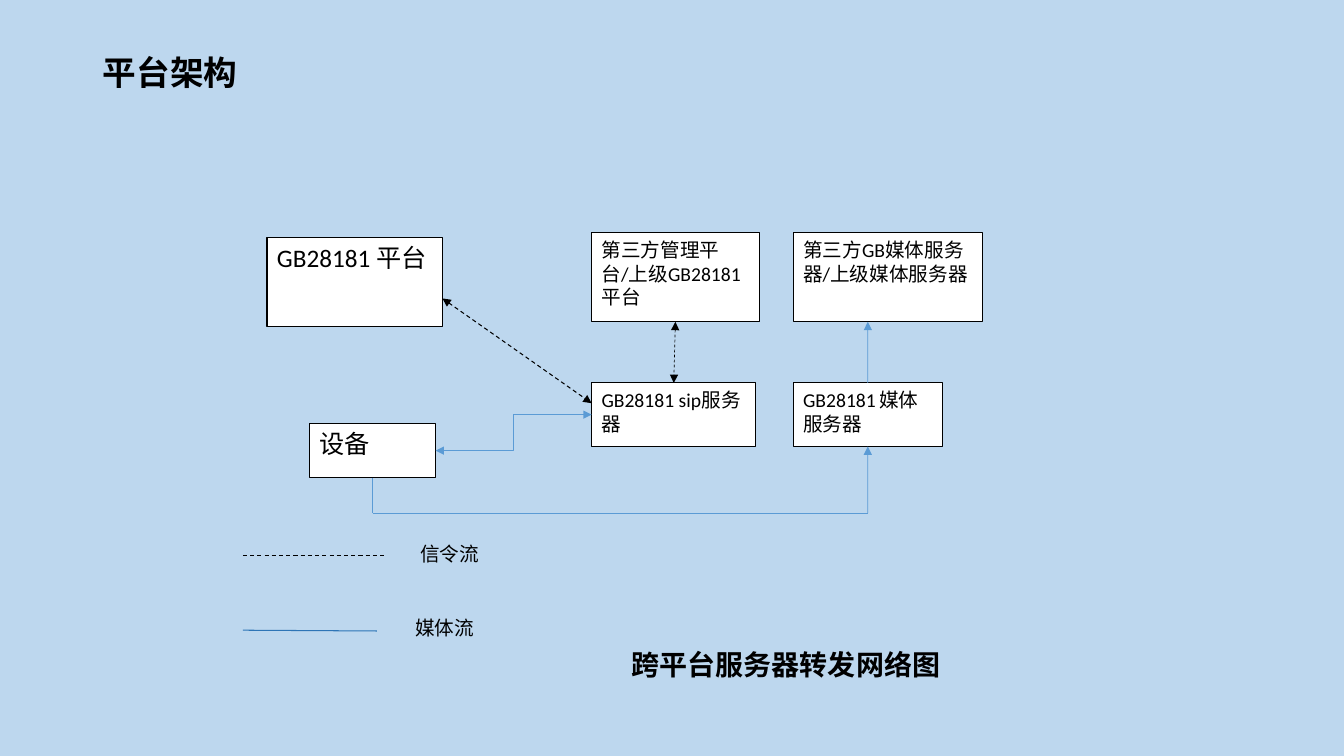
from dataclasses import dataclass

from lxml.etree import SubElement
from pptx import Presentation
from pptx.dml.color import RGBColor
from pptx.enum.dml import MSO_LINE
from pptx.enum.shapes import MSO_CONNECTOR, MSO_SHAPE
from pptx.enum.text import MSO_ANCHOR, PP_ALIGN
from pptx.oxml.ns import qn
from pptx.util import Cm, Pt


@dataclass(frozen=True)
class Theme:
    background: RGBColor = RGBColor(0xBD, 0xD7, 0xEE)
    ink: RGBColor = RGBColor(0, 0, 0)
    box: RGBColor = RGBColor(0xFF, 0xFF, 0xFF)
    media: RGBColor = RGBColor(0x5B, 0x9B, 0xD5)
    media_key: RGBColor = RGBColor(0x2E, 0x75, 0xB6)
    latin: str = "Calibri"
    device_latin: str = "Arial"
    chinese: str = "Noto Sans CJK SC"
    title: Pt = Pt(24)
    caption: Pt = Pt(20)
    large: Pt = Pt(18)
    body: Pt = Pt(14)
    gap: Pt = Pt(10)
    outline: Pt = Pt(0.75)
    thin: Pt = Pt(0.5)


THEME = Theme()
BOTH_ENDS = ("headEnd", "tailEnd")
TOP, LEFT, BOTTOM, RIGHT = range(4)


def apply_formats(target, formats):
    for name, value in formats.items():
        setattr(target, name, value)


def place(shape, left, top, width, height):
    apply_formats(shape, {"left": Cm(left), "top": Cm(top),
                          "width": Cm(width), "height": Cm(height)})


def write(frame, runs, latin=THEME.latin, bold=False, anchor=MSO_ANCHOR.TOP):
    apply_formats(frame, {"word_wrap": True, "vertical_anchor": anchor})
    paragraph = frame.paragraphs[0]
    paragraph.alignment = PP_ALIGN.LEFT
    for words, size in runs:
        run = paragraph.add_run()
        run.text = words
        apply_formats(run.font, {"name": latin, "size": size, "bold": bold})
        run.font.color.rgb = THEME.ink
        SubElement(run.font._element, qn("a:ea"), typeface=THEME.chinese)
    return paragraph


def add_title(slide, words):
    title = slide.shapes.title
    place(title, 2.34, 1.02, 29.21, 1.73)
    paragraph = write(title.text_frame, [(words, THEME.title)],
                      THEME.chinese, True, MSO_ANCHOR.MIDDLE)
    paragraph.line_spacing = 0.9


def add_node(slide, area, runs, latin=THEME.latin):
    node = slide.shapes.add_shape(MSO_SHAPE.RECTANGLE, *map(Cm, area))
    node.shadow.inherit = False
    node.fill.solid()
    node.fill.fore_color.rgb = THEME.box
    node.line.color.rgb = THEME.ink
    node.line.width = THEME.outline
    write(node.text_frame, runs, latin)
    return node


def add_label(slide, area, words, size, bold=False):
    label = slide.shapes.add_textbox(*map(Cm, area))
    write(label.text_frame, [(words, size)], bold=bold)


def add_flow(slide, start, end, color, width, dashed=False, arrows=(),
             kind=MSO_CONNECTOR.STRAIGHT, source=None, target=None):
    flow = slide.shapes.add_connector(kind, *map(Cm, start + end))
    if source:
        flow.begin_connect(*source)
    if target:
        flow.end_connect(*target)
    flow.line.color.rgb = color
    flow.line.width = width
    if dashed:
        flow.line.dash_style = MSO_LINE.DASH
    properties = flow._element.spPr
    for arrow in arrows:
        SubElement(properties.find(qn("a:ln")), qn(f"a:{arrow}"), type="triangle")
    SubElement(properties, qn("a:effectLst"))


def add_signal_flows(slide, upper_platform, sip_server):
    add_flow(slide, (11.15, 7.52), (14.91, 10.16), THEME.ink, THEME.outline,
             True, BOTH_ENDS)
    add_flow(slide, (17.02, 8.11), (16.98, 9.65), THEME.ink, THEME.thin,
             True, BOTH_ENDS,
             source=(upper_platform, BOTTOM), target=(sip_server, TOP))


def add_media_flows(slide, device, sip_server, media_server):
    style = {"color": THEME.media, "width": THEME.thin}
    device_turn, server_turn = (9.39, 12.93), (21.87, 12.93)
    add_flow(slide, (10.98, 11.36), (14.91, 10.45), **style, arrows=BOTH_ENDS,
             kind=MSO_CONNECTOR.ELBOW,
             source=(device, RIGHT), target=(sip_server, LEFT))
    add_flow(slide, (9.39, 12.04), device_turn, **style, source=(device, BOTTOM))
    add_flow(slide, device_turn, server_turn, **style)
    add_flow(slide, server_turn, (21.87, 11.25), **style, arrows=("tailEnd",),
             target=(media_server, BOTTOM))
    add_flow(slide, (21.87, 9.65), (21.87, 8.11), **style, arrows=("tailEnd",),
             source=(media_server, TOP))


def add_legend(slide):
    add_flow(slide, (6.12, 14), (9.75, 14), THEME.ink, THEME.outline, True)
    add_flow(slide, (6.12, 15.88), (9.5, 15.9), THEME.media_key, THEME.outline)
    add_label(slide, (10.34, 13.53, 2.24, 0.85), "信令流", THEME.body)
    add_label(slide, (10.21, 15.39, 2.24, 0.85), "媒体流", THEME.body)


def main():
    presentation = Presentation()
    apply_formats(presentation, {"slide_width": Cm(33.87), "slide_height": Cm(19.05)})
    slide = presentation.slides.add_slide(presentation.slide_layouts[5])
    slide.background.fill.solid()
    slide.background.fill.fore_color.rgb = THEME.background

    add_title(slide, "平台架构")
    add_node(slide, (6.73, 5.99, 4.42, 2.24), [("GB28181 平台", THEME.large)])
    upper_platform = add_node(slide, (14.91, 5.87, 4.22, 2.24),
                              [("第三方管理平台/上级GB28181平台", THEME.body)])
    device = add_node(slide, (7.8, 10.67, 3.18, 1.37), [("设备", THEME.large)],
                      THEME.device_latin)
    sip_server = add_node(slide, (14.91, 9.65, 4.14, 1.6),
                          [("GB28181 sip服务器", THEME.body)])
    add_node(slide, (19.99, 5.87, 4.78, 2.24),
             [("第三方GB媒体服务器/上级媒体服务器", THEME.body)])
    media_server = add_node(slide, (19.99, 9.65, 3.76, 1.6),
                            [("GB28181", THEME.body), (" ", THEME.gap),
                             ("媒体服务器", THEME.body)])
    add_signal_flows(slide, upper_platform, sip_server)
    add_media_flows(slide, device, sip_server, media_server)
    add_legend(slide)
    add_label(slide, (15.67, 16.18, 8.43, 1.3), "跨平台服务器转发网络图",
              THEME.caption, True)
    presentation.save("out.pptx")


if __name__ == "__main__":
    main()
